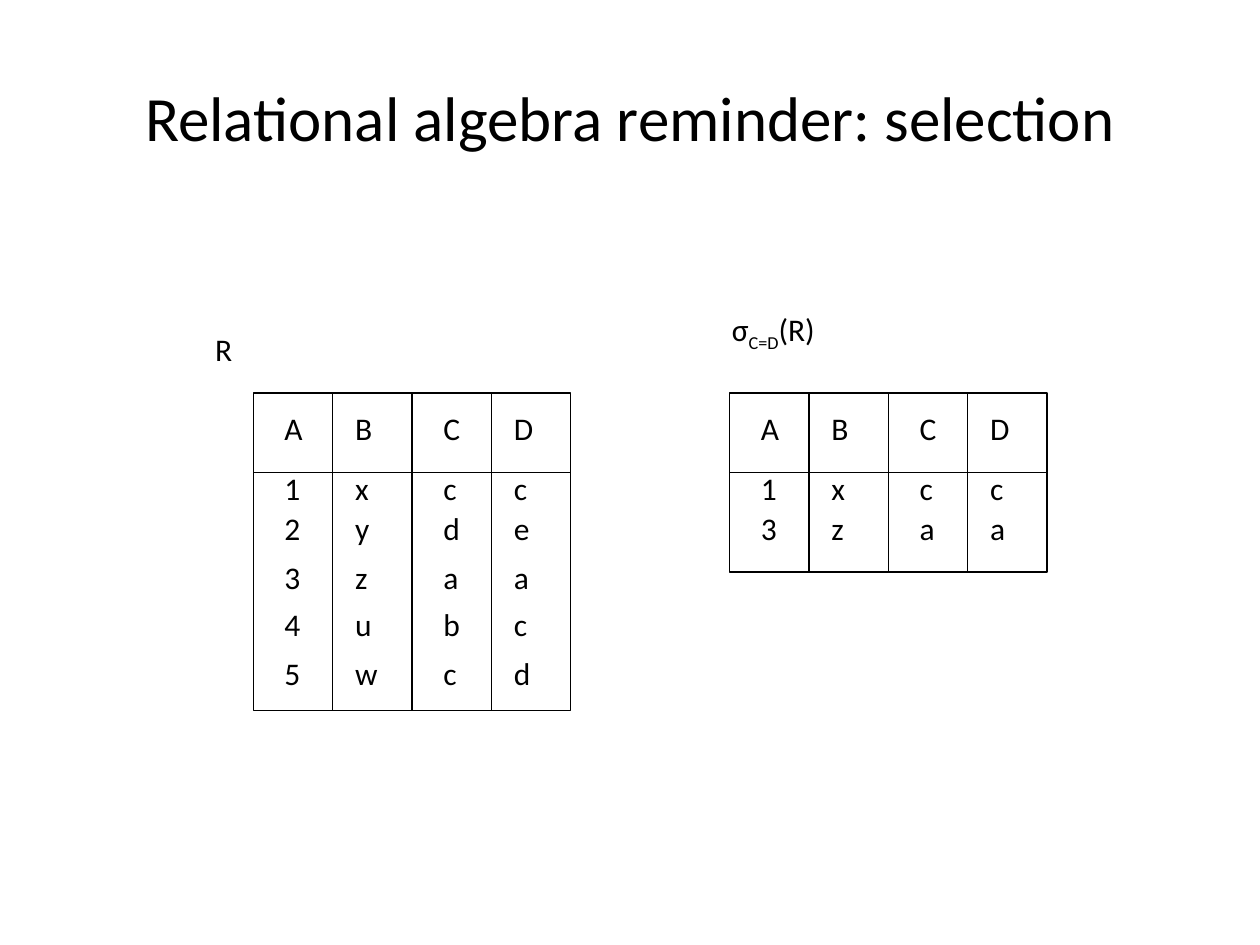
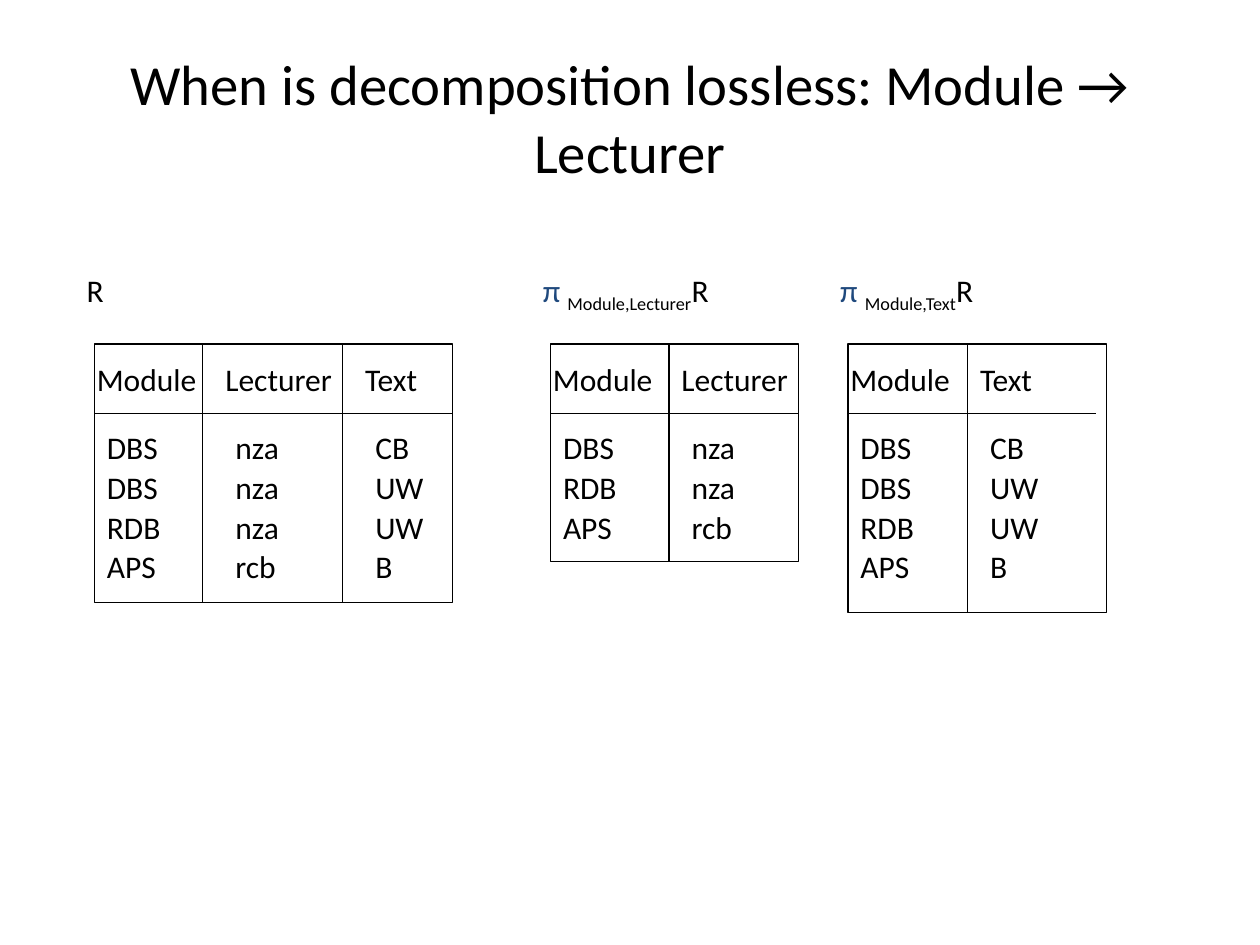
from dataclasses import dataclass

from lxml import etree
from pptx import Presentation
from pptx.dml.color import RGBColor
from pptx.enum.shapes import MSO_CONNECTOR, MSO_SHAPE
from pptx.enum.text import MSO_ANCHOR, MSO_AUTO_SIZE, PP_ALIGN
from pptx.oxml.ns import qn
from pptx.util import Inches, Pt

RECTANGLE = MSO_SHAPE.RECTANGLE
STRAIGHT = MSO_CONNECTOR.STRAIGHT
MIDDLE = MSO_ANCHOR.MIDDLE
CENTER = PP_ALIGN.CENTER
FIT_SHAPE = MSO_AUTO_SIZE.SHAPE_TO_FIT_TEXT
TITLE_ONLY = 5

BLACK = "000000"
NAVY = "1F497D"


def color(hex_string):
    return RGBColor.from_string(hex_string)


@dataclass
class Grid:
    top: float
    header_height: float
    header_top: float
    row_tops: list
    cell_height: float
    body_indent: float


class Deck:
    font = "Calibri"
    body_size = 18
    line_width = 0.75

    def __init__(self):
        self.presentation = Presentation()
        self.presentation.slide_width = Inches(10)
        self.presentation.slide_height = Inches(7.5)
        self.slide = None

    def add_run(self, paragraph, text, size, hex_color=BLACK, subscript=False):
        run = paragraph.add_run()
        run.text = text
        run.font.name = self.font
        run.font.size = Pt(size)
        run.font.color.rgb = color(hex_color)
        if subscript:
            run._r.get_or_add_rPr().set("baseline", "-25000")

    def new_slide(self, heading, size):
        layout = self.presentation.slide_layouts[TITLE_ONLY]
        self.slide = self.presentation.slides.add_slide(layout)
        title = self.slide.shapes.title
        title.left, title.top = Inches(0.5), Inches(0.3)
        title.width, title.height = Inches(9), Inches(1.25)
        title.text_frame.vertical_anchor = MIDDLE
        paragraph = title.text_frame.paragraphs[0]
        paragraph.alignment = CENTER
        self.add_run(paragraph, heading, size)

    def text(self, left, top, width, height, *runs):
        box = self.slide.shapes.add_textbox(
            Inches(left), Inches(top), Inches(width), Inches(height))
        box.text_frame.word_wrap = True
        box.text_frame.auto_size = FIT_SHAPE
        for content, *style in runs:
            self.add_run(box.text_frame.paragraphs[0], content, self.body_size, *style)

    def frame(self, left, top, width, height):
        outline = self.slide.shapes.add_shape(
            RECTANGLE, Inches(left), Inches(top), Inches(width), Inches(height))
        outline.shadow.inherit = False
        outline.fill.background()
        outline.line.color.rgb = color(BLACK)
        outline.line.width = Pt(self.line_width)

    def line(self, x1, y1, x2, y2):
        rule = self.slide.shapes.add_connector(
            STRAIGHT, Inches(x1), Inches(y1), Inches(x2), Inches(y2))
        rule.line.color.rgb = color(BLACK)
        rule.line.width = Pt(self.line_width)
        etree.SubElement(rule._element.spPr, qn("a:effectLst"))

    def relation(self, grid, left, height, frame_widths, dividers, columns,
                 rows, rule_width=None):
        frame_left = left
        for width in frame_widths:
            self.frame(frame_left, grid.top, width, height)
            frame_left += width
        rule_y = grid.top + grid.header_height
        self.line(left, rule_y, left + (rule_width or sum(frame_widths)), rule_y)
        for offset in dividers:
            self.line(left + offset, grid.top, left + offset, grid.top + height)
        for attribute, offset, header_width, _ in columns:
            self.text(left + offset, grid.header_top, header_width,
                      grid.cell_height, (attribute,))
        for top, row in zip(grid.row_tops, rows):
            for value, (_, offset, _, width) in zip(row, columns):
                self.text(left + offset + grid.body_indent, top, width,
                          grid.cell_height, (value,))


deck = Deck()

deck.new_slide("Relational algebra reminder: selection", 36)
selection_grid = Grid(top=3.12, header_height=0.63, header_top=3.2,
                      row_tops=[3.67, 3.99, 4.38, 4.75, 5.14],
                      cell_height=0.5, body_indent=0)
letters = [(name, offset, 0.47, 0.47)
           for name, offset in zip("ABCD", (0.15, 0.71, 1.41, 1.97))]
for left, height, rows in (
        (2.01, 2.52, ("1xcc", "2yde", "3zaa", "4ubc", "5wcd")),
        (5.79, 1.42, ("1xcc", "3zaa"))):
    deck.relation(selection_grid, left, height, (1.26, 1.26), (0.63, 1.89),
                  letters, rows)
deck.text(1.61, 2.57, 0.79, 0.5, ("R",))
deck.text(5.71, 2.41, 1.73, 0.5, ("σ",), ("C=D", BLACK, True), ("(R)",))

deck.new_slide("When is decomposition lossless: Module → Lecturer", 32.4)
lossless_grid = Grid(top=2.73, header_height=0.55, header_top=2.81,
                     row_tops=[3.35 + 0.315 * i for i in range(4)],
                     cell_height=0.4, body_indent=0.08)
module = ("Module", -0.08, 1.02, 1.02)
lecturer = ("Lecturer", 0.94, 1.18, 0.63)

deck.relation(
    lossless_grid, 0.75, 2.05, (2.84,), (0.86, 1.97),
    (module, lecturer, ("Text", 2.05, 0.79, 0.79)),
    (("DBS", "nza", "CB"), ("DBS", "nza", "UW"),
     ("RDB", "nza", "UW"), ("APS", "rcb", "B")))
deck.relation(
    lossless_grid, 4.37, 1.73, (1.97,), (0.94,), (module, lecturer),
    (("DBS", "nza"), ("RDB", "nza"), ("APS", "rcb")))
deck.relation(
    lossless_grid, 6.73, 2.13, (2.05,), (0.95,),
    (module, ("Text", 0.95, 1.18, 0.63)),
    (("DBS", "CB"), ("DBS", "UW"), ("RDB", "UW"), ("APS", "B")),
    rule_width=1.97)

deck.text(0.59, 2.1, 0.63, 0.5, ("R",))
for left, attributes in ((4.21, "Module,Lecturer"), (6.57, "Module,Text")):
    deck.text(left, 2.1, 2.52, 0.5,
              ("π ", NAVY), (attributes, BLACK, True), ("R",))

deck.presentation.save("out.pptx")
